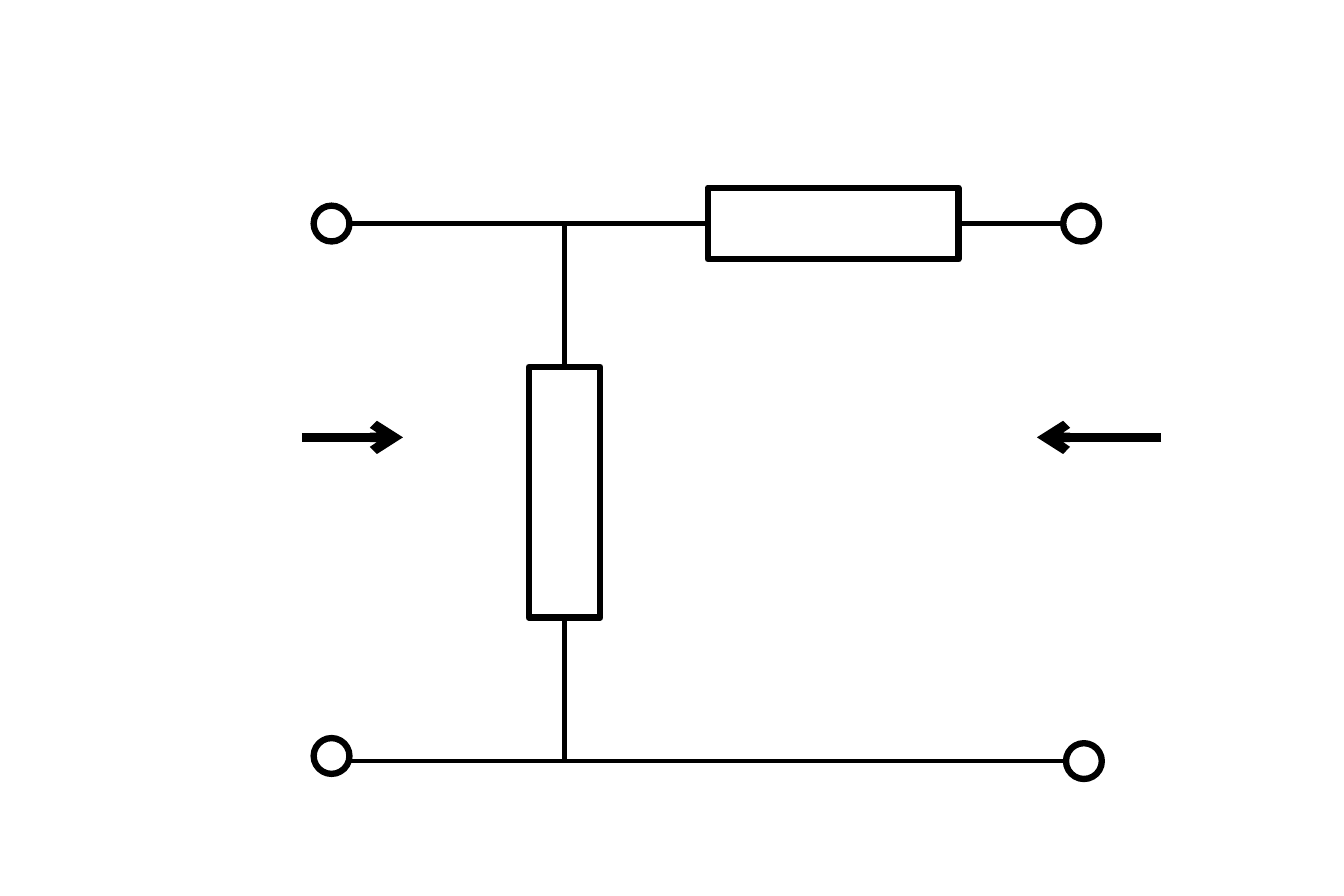
"""Build a slide with a two-port circuit: a shunt and a series impedance."""
from lxml import etree
from pptx import Presentation
from pptx.dml.color import RGBColor
from pptx.enum import shapes
from pptx.oxml import ns
from pptx.util import Pt

BLACK = RGBColor(0, 0, 0)
RESISTOR_LENGTH, RESISTOR_WIDTH = 79.37, 22.68
TERMINAL_SIZE = 11.34


def add_outline(page, kind, center_x, center_y, width, height):
    """Add an unfilled black outline centred on a point."""
    shape = page.shapes.add_shape(
        kind, Pt(center_x - width / 2), Pt(center_y - height / 2), Pt(width), Pt(height))
    shape.shadow.inherit = False
    shape.fill.background()
    shape.line.color.rgb = BLACK
    shape.line.width = Pt(2)
    return shape


def add_wire(page, start, end, weight=1.5):
    """Add a straight black line between two points."""
    wire = page.shapes.add_connector(
        shapes.MSO_CONNECTOR.STRAIGHT, *(Pt(value) for value in (*start, *end)))
    wire.line.color.rgb = BLACK
    wire.line.width = Pt(weight)
    etree.SubElement(wire._element.spPr, ns.qn("a:effectLst"))
    return wire


def add_arrow(page, start, end):
    """Add a heavy line with an open arrowhead at its end."""
    arrow = add_wire(page, start, end, weight=3)
    etree.SubElement(arrow.line._get_or_add_ln(), ns.qn("a:tailEnd"), type="arrow")


def add_circuit(page, left, top, width, height):
    """Draw the circuit in a box whose corners are the terminals."""
    right, bottom = left + width, top + height
    node_x, middle_y = left + 73.7, top + height / 2
    series_x = left + 158.8
    half = RESISTOR_LENGTH / 2
    wire_left, wire_right = left + TERMINAL_SIZE / 2, right - TERMINAL_SIZE / 2

    rectangle = shapes.MSO_SHAPE.RECTANGLE
    add_outline(page, rectangle, series_x, top, RESISTOR_LENGTH, RESISTOR_WIDTH)
    shunt = add_outline(page, rectangle, node_x, middle_y, RESISTOR_LENGTH, RESISTOR_WIDTH)
    shunt.rotation = 90

    for start, end in (
        ((wire_left, top), (series_x - half, top)),
        ((node_x, middle_y - half), (node_x, top)),
        ((node_x, bottom), (node_x, middle_y + half)),
        ((wire_left, bottom), (wire_right, bottom)),
        ((series_x + half, top), (wire_right, top)),
    ):
        add_wire(page, start, end)

    for x, y in ((left, top), (left, bottom - 1.6), (right - 0.9, top), (right, bottom)):
        add_outline(page, shapes.MSO_SHAPE.OVAL, x, y, TERMINAL_SIZE, TERMINAL_SIZE)


def add_port_arrows(page, left, y, width):
    """Draw the arrows that point into the two ports."""
    right = left + width
    add_arrow(page, (left, y), (left + 32, y))
    add_arrow(page, (right, y), (right - 39.3, y))


def main():
    """Build and save the deck."""
    deck = Presentation()
    deck.slide_width, deck.slide_height = Pt(425.5), Pt(283.7)
    page = deck.slides.add_slide(deck.slide_layouts[6])
    add_circuit(page, left=105, top=70.8, width=238.2, height=170.2)
    add_port_arrows(page, left=95.6, y=138.5, width=272)
    deck.save("out.pptx")


if __name__ == "__main__":
    main()
